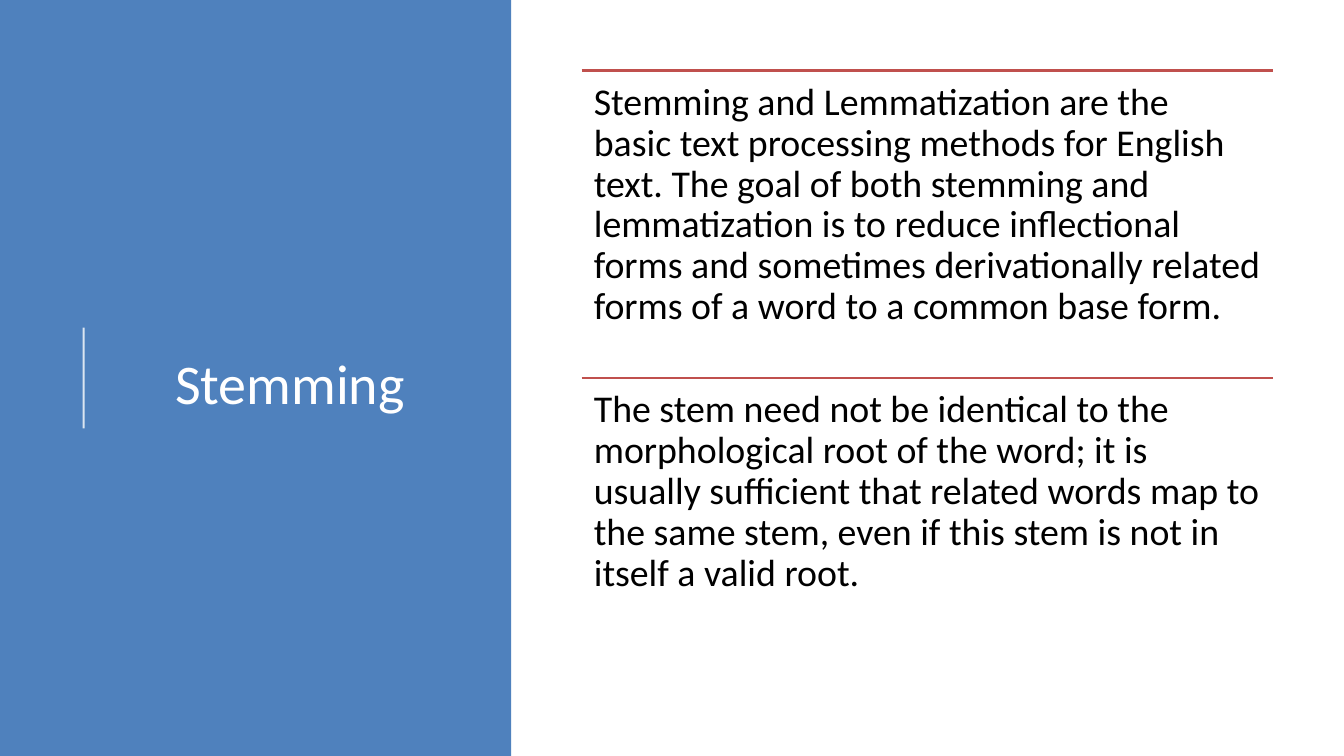
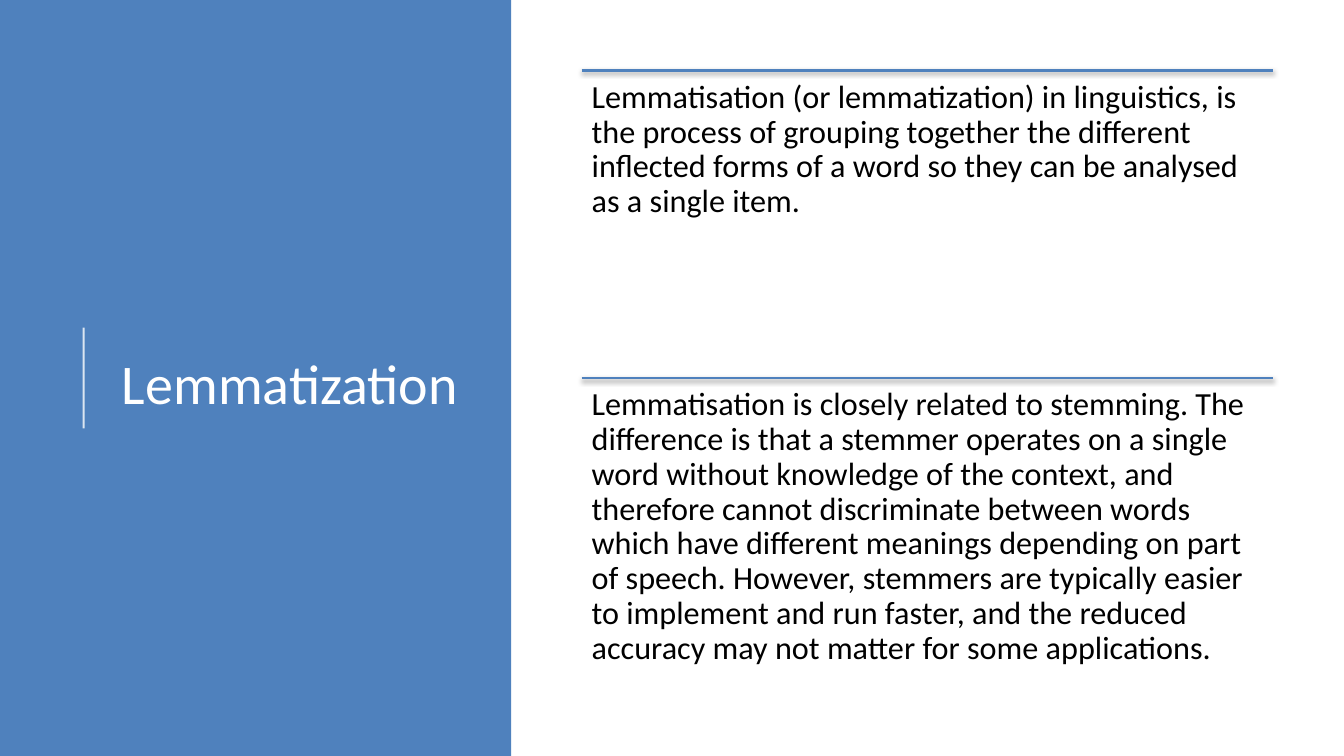
from lxml import etree
from pptx import Presentation, util as u
from pptx.dml.color import RGBColor
from pptx.enum import shapes, text
from pptx.oxml import ns

PX = 9144
WIDTH, HEIGHT = 1333, 750
FONT = "Calibri"
NBSP = chr(160)
COLORS = {"blue": "4F81BD", "red": "C0504D", "white": "FFFFFF", "black": "000000"}


class Deck:
    """Holds the presentation style and the current slide."""

    def __init__(self):
        self.prs = Presentation()
        self.prs.slide_width = u.Emu(WIDTH * PX)
        self.prs.slide_height = u.Emu(HEIGHT * PX)
        self.s = None

    def color(self, name):
        return RGBColor.from_string(COLORS[name])

    def box(self, *lengths):
        return [u.Emu(n * PX) for n in lengths]

    def panel(self, x, y, w, h, color):
        sp = self.s.shapes.add_shape(shapes.MSO_SHAPE.RECTANGLE, *self.box(x, y, w, h))
        sp.shadow.inherit = False
        sp.fill.solid()
        sp.fill.fore_color.rgb = self.color(color)
        sp.line.fill.background()

    def line(self, x1, y1, x2, y2, color, width, opacity=100, shadow=False):
        sp = self.s.shapes.add_connector(
            shapes.MSO_CONNECTOR.STRAIGHT, *self.box(x1, y1, x2, y2))
        sp.line.color.rgb = self.color(color)
        sp.line.width = u.Pt(width)
        if opacity < 100:
            fill = sp.line.fill._xPr.find(ns.qn("a:solidFill"))
            self.alpha(fill[0], opacity)
        effects = etree.SubElement(sp._element.spPr, ns.qn("a:effectLst"))
        if shadow:
            outer = etree.SubElement(
                effects, ns.qn("a:outerShdw"), blurRad="40000", dist="20000",
                dir="5400000", rotWithShape="0")
            tone = etree.SubElement(outer, ns.qn("a:srgbClr"), val=COLORS["black"])
            self.alpha(tone, 38)

    def alpha(self, tone, percent):
        etree.SubElement(tone, ns.qn("a:alpha"), val=str(percent * 1000))

    def text(self, x, y, w, h, words, size, color, inset=10, spacing=1.0,
             align=text.PP_ALIGN.LEFT, anchor=text.MSO_ANCHOR.TOP):
        tf = self.s.shapes.add_textbox(*self.box(x, y, w, h)).text_frame
        tf.word_wrap = True
        tf.vertical_anchor = anchor
        tf.margin_left = tf.margin_right = u.Emu(inset * PX)
        tf.margin_top = tf.margin_bottom = u.Emu(inset * PX)
        p = tf.paragraphs[0]
        p.text = words
        p.alignment = align
        p.line_spacing = spacing
        p.font.name = FONT
        p.font.size = u.Pt(size)
        p.font.color.rgb = self.color(color)

    def slide(self, title):
        self.s = self.prs.slides.add_slide(self.prs.slide_layouts[6])
        self.panel(0, 0, 507, HEIGHT, "blue")
        self.line(83, 425, 83, 325, "white", 1.5, opacity=80)
        self.text(103, 78, 369, 602, title, 40, "white",
                  align=text.PP_ALIGN.CENTER, anchor=text.MSO_ANCHOR.MIDDLE)

    def sections(self, items, size, inset, color, shadow=False):
        left, top, width, height = 577, 70, 686, 305
        for i, words in enumerate(items):
            y = top + i * height
            self.line(left, y, left + width, y, color, 2, shadow=shadow)
            self.text(left, y, width, height, words, size, "black", inset, 0.9)


def main():
    deck = Deck()
    deck.slide("Stemming")
    deck.sections([
        f"Stemming and Lemmatization are the basic{NBSP}text processing{NBSP}methods for "
        "English text. The goal of both stemming and lemmatization is to reduce "
        "inflectional forms and sometimes derivationally related forms of a word to a "
        "common base form.",
        "The stem need not be identical to the morphological root of the word; it is "
        "usually sufficient that related words map to the same stem, even if this stem "
        "is not in itself a valid root.",
    ], 27, 12, "red")
    deck.slide("Lemmatization")
    deck.sections([
        "Lemmatisation (or lemmatization) in linguistics, is the process of grouping "
        "together the different inflected forms of a word so they can be analysed as a "
        "single item.",
        "Lemmatisation is closely related to stemming. The difference is that a stemmer "
        "operates on a single word without knowledge of the context, and therefore cannot "
        "discriminate between words which have different meanings depending on part of "
        "speech. However, stemmers are typically easier to implement and run faster, and "
        "the reduced accuracy may not matter for some applications.",
    ], 23, 10, "blue", shadow=True)
    deck.prs.save("out.pptx")


if __name__ == "__main__":
    main()
